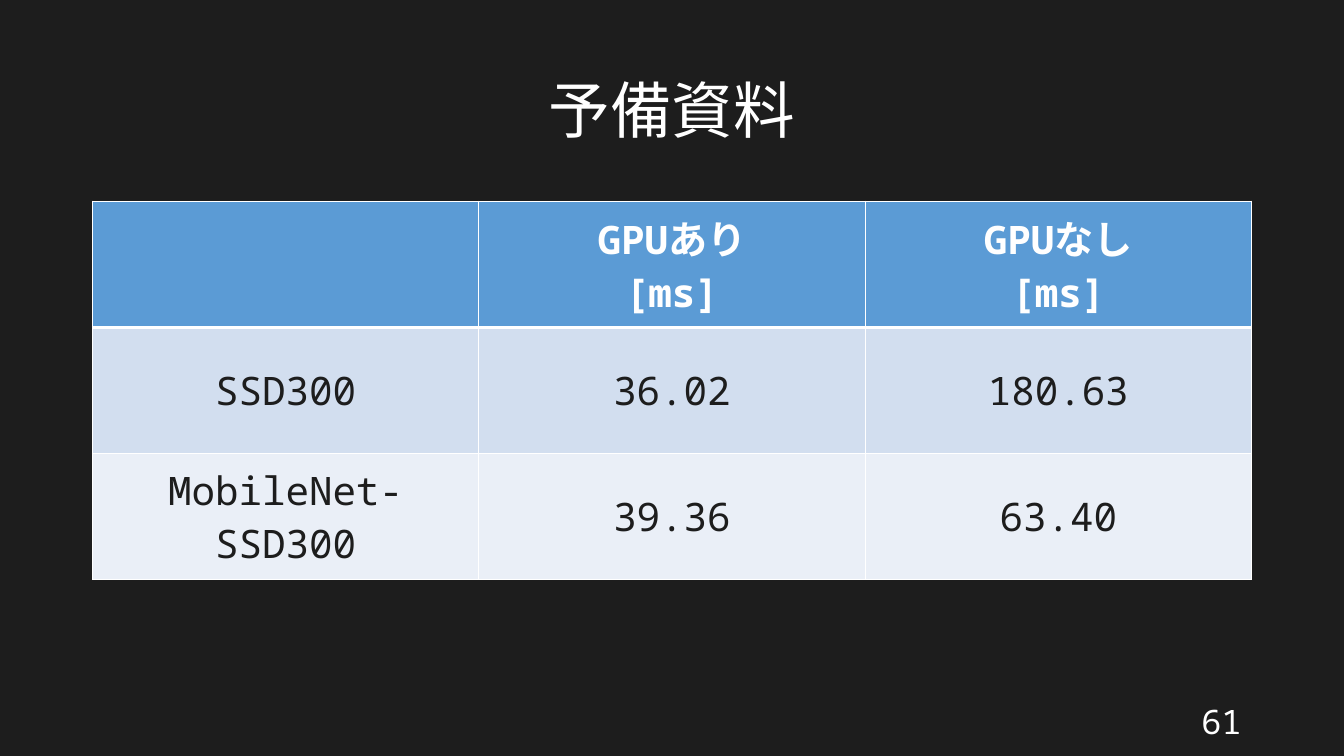
"""Build a dark slide with a table of inference times with and without a GPU."""
from lxml import etree
from pptx import Presentation
from pptx.dml.color import RGBColor
from pptx.enum.text import MSO_ANCHOR, PP_ALIGN
from pptx.oxml.ns import qn
from pptx.util import Cm, Pt

MIDDLE = MSO_ANCHOR.MIDDLE
CENTER, RIGHT = PP_ALIGN.CENTER, PP_ALIGN.RIGHT
FONT = "Noto Sans Mono"
DARK, WHITE = "1D1D1D", "FFFFFF"
FILLS = ["5B9BD5", "D2DEEF", "EAEFF7"]
ROWS = [
    ["", "GPUあり\n[ms]", "GPUなし\n[ms]"],
    ["SSD300", "36.02", "180.63"],
    ["MobileNet-SSD300", "39.36", "63.40"],
]


def color(code):
    return RGBColor.from_string(code)


def write(frame, text, size, code, align, bold=False):
    frame.word_wrap = True
    for i, line in enumerate(text.split("\n")):
        para = frame.add_paragraph() if i else frame.paragraphs[0]
        para.alignment = align
        if not line:
            para.font.size = Pt(size)
            continue
        run = para.add_run()
        run.text = line
        run.font.name = FONT
        run.font.size = Pt(size)
        run.font.bold = bold
        run.font.color.rgb = color(code)


prs = Presentation()
prs.slide_width, prs.slide_height = Cm(33.87), Cm(19.05)
slide = prs.slides.add_slide(prs.slide_layouts[6])
slide.background.fill.solid()
slide.background.fill.fore_color.rgb = color(DARK)

title = slide.shapes.add_textbox(Cm(2.33), Cm(1.01), Cm(29.21), Cm(3.68)).text_frame
write(title, "予備資料", 44, WHITE, CENTER)
title.vertical_anchor = MIDDLE
title.paragraphs[0].line_spacing = 0.9

table = slide.shapes.add_table(3, 3, Cm(2.33), Cm(5.07), Cm(29.21), Cm(9.54)).table
for r, row in enumerate(ROWS):
    head = r == 0
    for c, text in enumerate(row):
        cell = table.cell(r, c)
        cell.vertical_anchor = MIDDLE
        write(cell.text_frame, text, 28, WHITE if head else DARK, CENTER, head)
        props = cell._tc.get_or_add_tcPr()
        for side in "LRTB":
            thick = (head and side == "B") or (r == 1 and side == "T")
            line = etree.SubElement(props, qn("a:ln" + side), w=str(Pt(3 if thick else 1)))
            fill = etree.SubElement(line, qn("a:solidFill"))
            etree.SubElement(fill, qn("a:srgbClr"), val=WHITE)
        cell.fill.solid()
        cell.fill.fore_color.rgb = color(FILLS[r])

page = slide.shapes.add_textbox(Cm(23.92), Cm(17.66), Cm(7.62), Cm(1.01)).text_frame
write(page, "61", 24, WHITE, RIGHT)
page.vertical_anchor = MIDDLE

prs.save("out.pptx")
